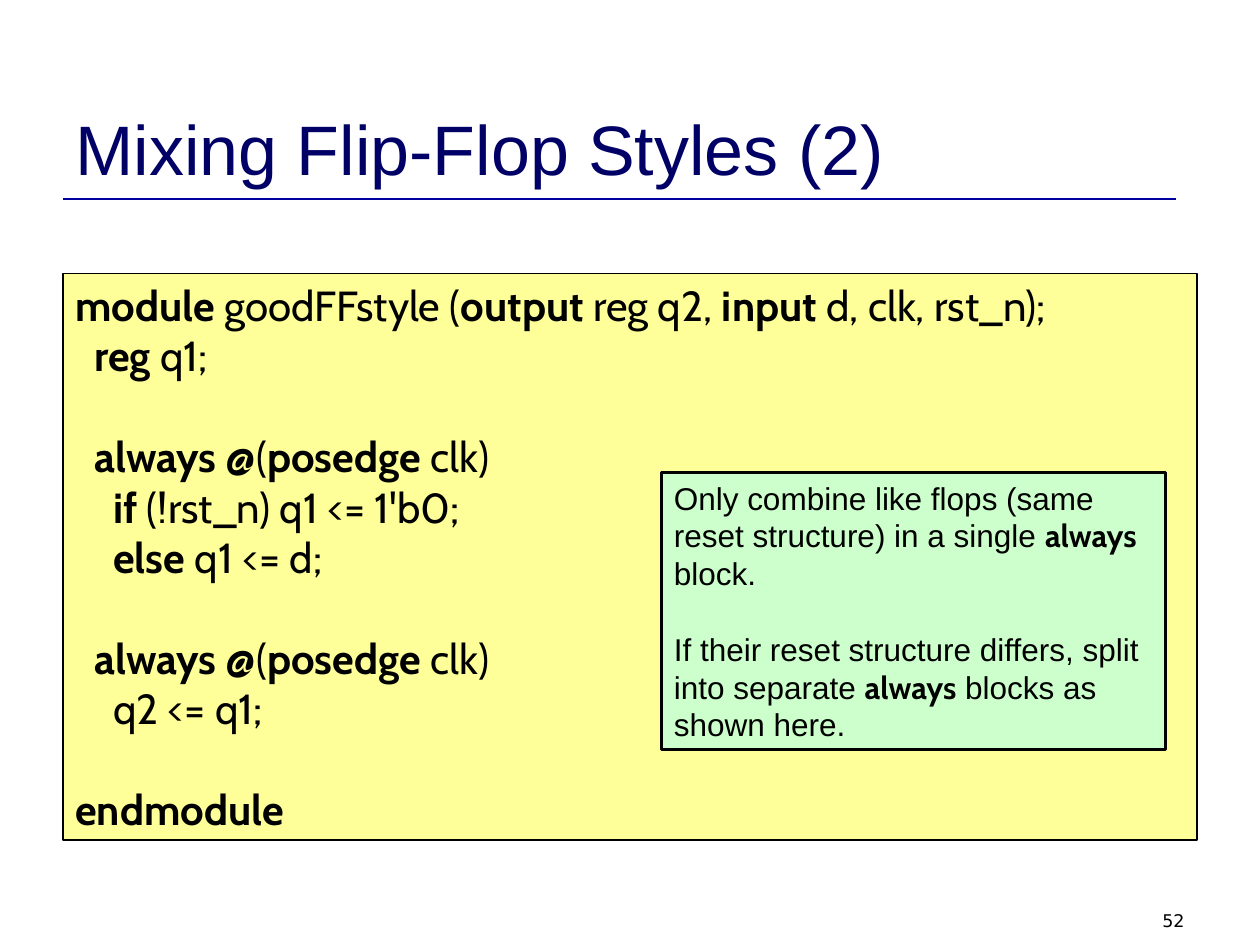
from dataclasses import dataclass

from lxml.etree import SubElement
from pptx import Presentation
from pptx.dml.color import RGBColor
from pptx.enum.shapes import MSO_CONNECTOR, MSO_SHAPE
from pptx.enum.text import MSO_ANCHOR, PP_ALIGN
from pptx.oxml.ns import qn
from pptx.util import Inches, Pt


@dataclass(frozen=True)
class Theme:
    text: RGBColor = RGBColor(0x00, 0x00, 0x00)
    title: RGBColor = RGBColor(0x00, 0x00, 0x66)
    rule: RGBColor = RGBColor(0x00, 0x00, 0xA0)
    code_fill: RGBColor = RGBColor(0xFF, 0xFF, 0x99)
    note_fill: RGBColor = RGBColor(0xCC, 0xFF, 0xCC)
    body_font: str = "Arial"
    code_font: str = "Cabin"
    number_font: str = "DejaVu Sans"
    title_size: Pt = Pt(40)
    code_size: Pt = Pt(24)
    note_size: Pt = Pt(18)
    number_size: Pt = Pt(10)
    line_height: float = 1.2


THEME = Theme()
BOLD_MARK = "**"

CODE = """\
**module** goodFFstyle (**output** reg q2, **input** d, clk, rst_n);
  **reg** q1;

  **always** @(**posedge** clk)
    **if** (!rst_n) q1 <= 1'b0;
    **else** q1 <= d;

  **always** @(**posedge** clk)
    q2 <= q1;

**endmodule**"""

NOTE = """\
Only combine like flops (same reset structure) in a single **always** block.

If their reset structure differs, split into separate **always** blocks as shown here."""


def style_font(font, name, size, color, bold=False):
    font.name = name
    font.size = size
    font.color.rgb = color
    font.bold = bold


def add_label(slide, box, text, font_name, size, color,
              anchor=MSO_ANCHOR.TOP, alignment=PP_ALIGN.LEFT):
    text_frame = slide.shapes.add_textbox(*box).text_frame
    text_frame.word_wrap = True
    text_frame.vertical_anchor = anchor
    text_frame.text = text
    paragraph = text_frame.paragraphs[0]
    paragraph.alignment = alignment
    style_font(paragraph.runs[0].font, font_name, size, color)


def write_marked_lines(text_frame, text, font_name, size):
    """Write one paragraph a line; marked words are bold code, an empty line is a gap."""
    paragraph = text_frame.paragraphs[0]
    for index, block in enumerate(text.split("\n\n")):
        for row, line in enumerate(block.split("\n")):
            if index or row:
                paragraph = text_frame.add_paragraph()
            paragraph.alignment = PP_ALIGN.LEFT
            if index and row == 0:
                paragraph.space_before = Pt(size.pt * THEME.line_height)
            for position, part in enumerate(line.split(BOLD_MARK)):
                if part:
                    bold = position % 2 == 1
                    run = paragraph.add_run()
                    run.text = part
                    style_font(run.font, THEME.code_font if bold else font_name,
                               size, THEME.text, bold)


def add_panel(slide, box, text, fill, line_width, font_name, size):
    panel = slide.shapes.add_shape(MSO_SHAPE.RECTANGLE, *box)
    panel.shadow.inherit = False
    panel.fill.solid()
    panel.fill.fore_color.rgb = fill
    panel.line.color.rgb = THEME.text
    panel.line.width = line_width
    panel.text_frame.word_wrap = True
    panel.text_frame.vertical_anchor = MSO_ANCHOR.TOP
    write_marked_lines(panel.text_frame, text, font_name, size)


def add_title(slide, box, text):
    """Place the title above a rule that runs just below its box."""
    left, top, width, height = box
    rule_top = top + height + Inches(0.03)
    rule = slide.shapes.add_connector(
        MSO_CONNECTOR.STRAIGHT, left, rule_top,
        left + width - Inches(0.17), rule_top)
    rule.line.color.rgb = THEME.rule
    rule.line.width = Pt(1.5)
    SubElement(rule._element.spPr, qn("a:effectLst"))
    add_label(slide, box, text, THEME.body_font, THEME.title_size,
              THEME.title, anchor=MSO_ANCHOR.BOTTOM)


def add_code_example(slide, box):
    """Place the listing, with its note inset at the right."""
    left, top, width, height = box
    add_panel(slide, box, CODE, THEME.code_fill, Pt(1),
              THEME.code_font, THEME.code_size)
    note_width = Inches(4)
    note_box = (left + width - note_width - Inches(0.25), top + Inches(1.58),
                note_width, Inches(2.2))
    add_panel(slide, note_box, NOTE, THEME.note_fill, Pt(1.75),
              THEME.body_font, THEME.note_size)


def main():
    presentation = Presentation()
    presentation.slide_width = Inches(10)
    presentation.slide_height = Inches(7.5)
    slide = presentation.slides.add_slide(presentation.slide_layouts[6])
    left, width = Inches(0.5), Inches(9)
    add_title(slide, (left, Inches(0.3), width, Inches(1.25)),
              "Mixing Flip-Flop Styles (2)")
    add_code_example(slide, (left, Inches(2.17), width, Inches(4.5)))
    number_width = Inches(2.33)
    add_label(slide, (left + width - number_width, Inches(7.17), number_width, Inches(0.25)),
              "52", THEME.number_font, THEME.number_size, THEME.text,
              alignment=PP_ALIGN.RIGHT)
    presentation.save("out.pptx")


if __name__ == "__main__":
    main()
